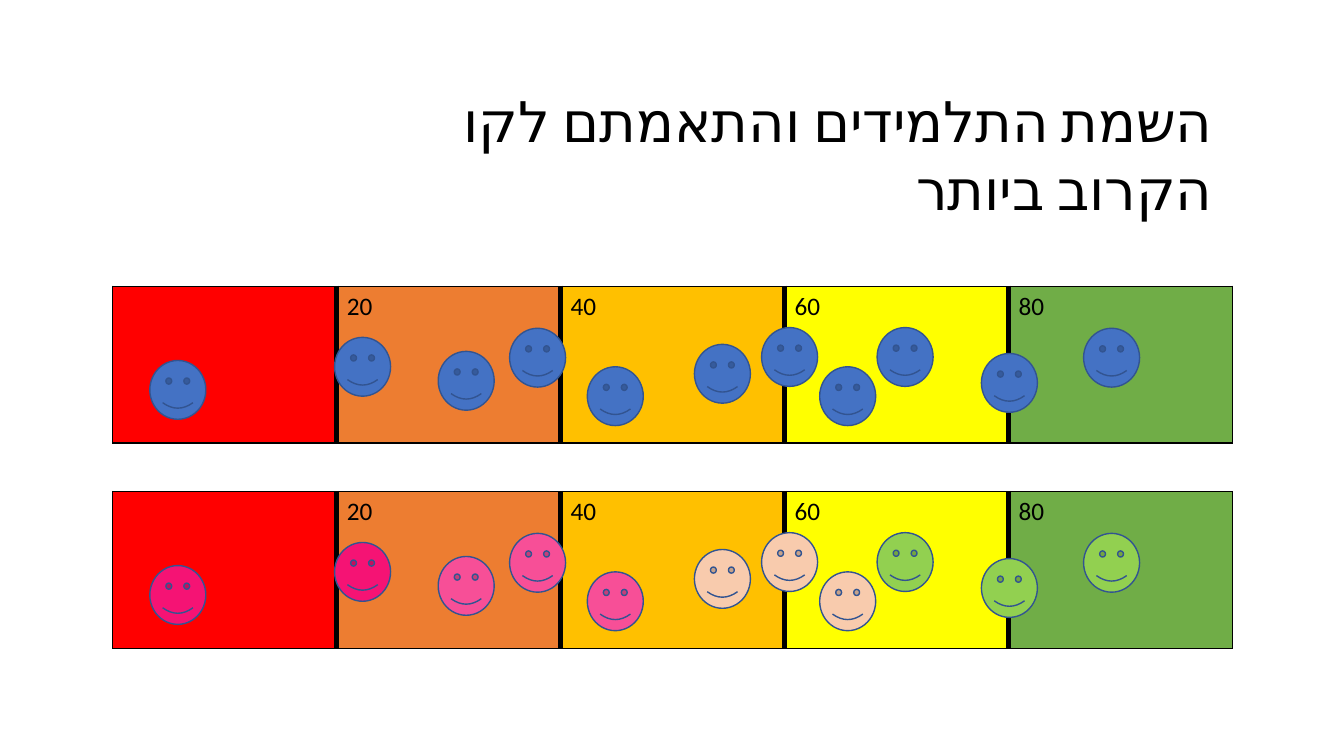
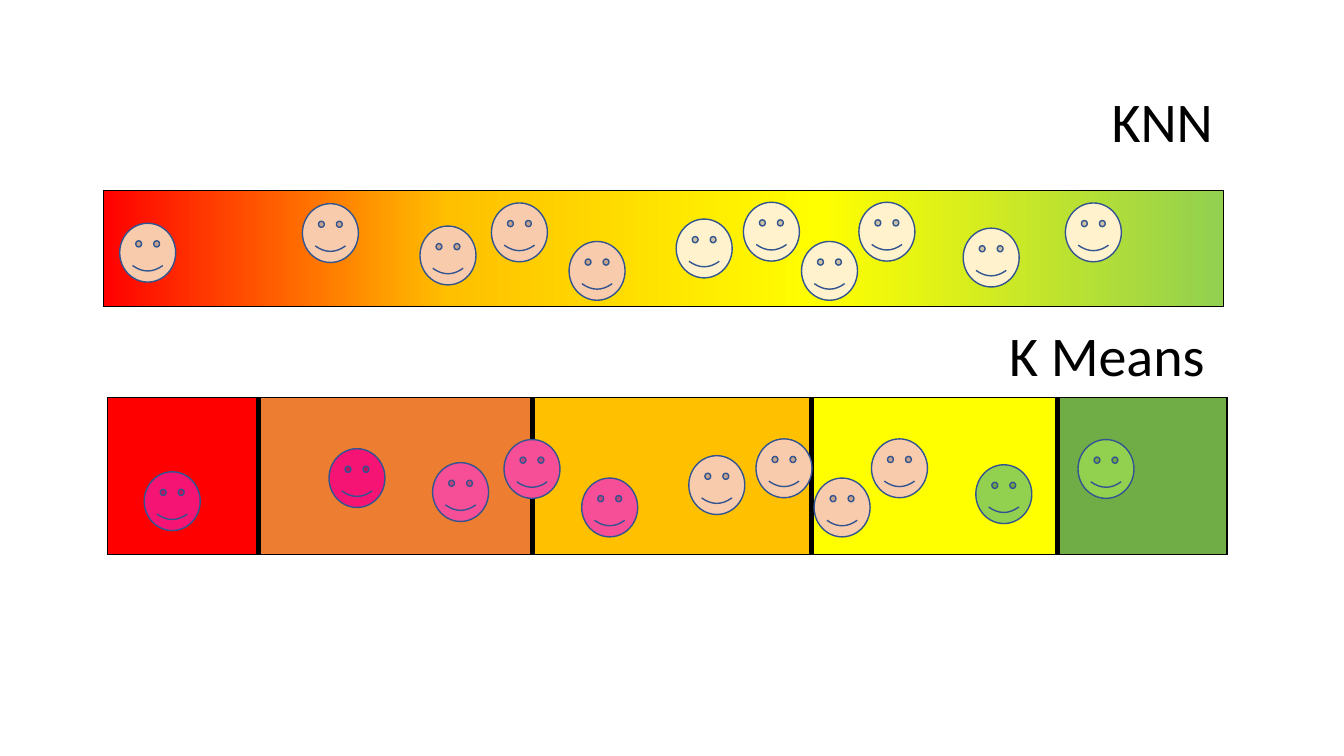
from dataclasses import dataclass

import lxml.etree
import pptx
import pptx.dml.color
import pptx.enum.lang
import pptx.enum.shapes
import pptx.enum.text
import pptx.oxml.ns
import pptx.util

Pt = pptx.util.Pt
qn = pptx.oxml.ns.qn


@dataclass(frozen=True)
class Theme:
    font: str = "Calibri"
    title_size: int = 40
    label_size: int = 18
    text: str = "000000"
    border: str = "000000"
    outer_border: float = 1
    divider: float = 4.5
    face_line: str = "325491"
    blue: str = "4472C4"
    crimson: str = "F51374"
    pink: str = "F74F97"
    peach: str = "F8CBAD"
    cream: str = "FFF2CC"
    lime: str = "92D050"
    zones: tuple = ("FF0000", "ED7D31", "FFC000", "FFFF00", "70AD47")
    spectrum: tuple = ((0, "FF0000"), (31, "FFC000"), (64, "FFFF00"), (100, "92D050"))


THEME = Theme()
STRIP_WIDTH = 800
STRIP_HEIGHT = 112
EQUAL_ZONES = [STRIP_WIDTH / 5] * 5
CLUSTER_ZONES = [108, 196, 199, 176, 121]
TITLE_RIGHT = 873.5
TITLE_TOP = 58.5
TITLE_HEIGHT = 55.5

# Offsets of the students from the top left corner of their strip
STUDENTS = [(26.5, 53), (158.5, 36.5), (232.5, 46.5), (283.5, 30), (339, 57.5), (415.5, 41.5),
            (463.5, 29.5), (505, 57.5), (546, 29.5), (620.5, 48), (693.5, 30)]
NEIGHBOURS = [(11.5, 23.5), (142, 9.5)] + [(x - 6.5, y - 21) for x, y in STUDENTS[2:]]


def rgb(color):
    return pptx.dml.color.RGBColor.from_string(color)


def write_text(text_frame, text, *, size, color=THEME.text, font=THEME.font,
               right_to_left=False, language=None):
    paragraph = text_frame.paragraphs[0]
    paragraph.alignment = pptx.enum.text.PP_ALIGN.LEFT
    if right_to_left:
        paragraph.alignment = pptx.enum.text.PP_ALIGN.RIGHT
        paragraph._p.get_or_add_pPr().set("rtl", "1")
    run = paragraph.add_run()
    run.text = text
    run.font.size = Pt(size)
    run.font.name = font
    run.font.color.rgb = rgb(color)
    if language:
        run.font.language_id = language
    properties = run._r.get_or_add_rPr()
    lxml.etree.SubElement(properties, qn("a:cs"), typeface=font)


def set_borders(cell, color, **widths):
    """Draw the sides L, R, T and B; call before the fill is set."""
    properties = cell._tc.get_or_add_tcPr()
    for side, width in widths.items():
        line = lxml.etree.SubElement(properties, qn(f"a:ln{side}"), w=str(Pt(width)))
        fill = lxml.etree.SubElement(line, qn("a:solidFill"))
        lxml.etree.SubElement(fill, qn("a:srgbClr"), val=color)


def fill_gradient(cell, stops):
    cell.fill.gradient()
    cell.fill.gradient_angle = 0
    stop_list = cell._tc.tcPr.find(".//" + qn("a:gsLst"))
    stop_list.clear()
    for percent, color in stops:
        stop = lxml.etree.SubElement(stop_list, qn("a:gs"), pos=str(percent * 1000))
        lxml.etree.SubElement(stop, qn("a:srgbClr"), val=color)


class Deck:
    def __init__(self, theme):
        self.theme = theme
        self.presentation = pptx.Presentation()
        self.presentation.slide_width = Pt(960)
        self.presentation.slide_height = Pt(540)
        self.slide = None

    def add_slide(self, title, **format):
        self.slide = self.presentation.slides.add_slide(self.presentation.slide_layouts[5])
        self.place_heading(self.slide.shapes.title, title, top=TITLE_TOP, **format)

    def place_heading(self, shape, text, *, top, right=TITLE_RIGHT, width=698,
                      height=TITLE_HEIGHT, language=None):
        shape.left, shape.top = Pt(right - width), Pt(top)
        shape.width, shape.height = Pt(width), Pt(height)
        frame = shape.text_frame
        frame.word_wrap = True
        frame.auto_size = pptx.enum.text.MSO_AUTO_SIZE.NONE
        frame.vertical_anchor = pptx.enum.text.MSO_ANCHOR.TOP
        write_text(frame, text, size=self.theme.title_size, right_to_left=True,
                   language=language)

    def add_subheading(self, text, **format):
        self.place_heading(self.slide.shapes.add_textbox(0, 0, 0, 0), text, **format)

    def add_strip(self, left, top, widths, height=STRIP_HEIGHT, labels=()):
        """Add a one-row table; a single cell gets the colour spectrum."""
        theme = self.theme
        table = self.slide.shapes.add_table(
            1, len(widths), Pt(left), Pt(top), Pt(sum(widths)), Pt(height)).table
        table.first_row = table.horz_banding = False
        table.rows[0].height = Pt(height)
        last = len(widths) - 1
        for index, width in enumerate(widths):
            table.columns[index].width = Pt(width)
            cell = table.cell(0, index)
            set_borders(cell, theme.border,
                        L=theme.divider if index > 0 else theme.outer_border,
                        R=theme.divider if index < last else theme.outer_border,
                        T=theme.outer_border, B=theme.outer_border)
            if last == 0:
                fill_gradient(cell, theme.spectrum)
            else:
                cell.fill.solid()
                cell.fill.fore_color.rgb = rgb(theme.zones[index])
            if labels and labels[index]:
                write_text(cell.text_frame, labels[index], size=theme.label_size)

    def add_faces(self, left, top, offsets, colors):
        for (x, y), color in zip(offsets, colors):
            face = self.slide.shapes.add_shape(
                pptx.enum.shapes.MSO_SHAPE.SMILEY_FACE,
                Pt(left + x), Pt(top + y), Pt(40), Pt(42))
            face.shadow.inherit = False
            face.fill.solid()
            face.fill.fore_color.rgb = rgb(color)
            face.line.color.rgb = rgb(self.theme.face_line)
            face.line.width = Pt(1)


def main():
    theme = THEME
    deck = Deck(theme)

    deck.add_slide("השמת התלמידים והתאמתם לקו הקרוב ביותר", width=641, height=104.5,
                   language=pptx.enum.lang.MSO_LANGUAGE_ID.HEBREW)
    matched = ([theme.crimson] * 2 + [theme.pink] * 3
               + [theme.peach] * 3 + [theme.lime] * 3)
    for top, colors in ((204.5, [theme.blue] * len(STUDENTS)), (351, matched)):
        deck.add_strip(80.5, top, EQUAL_ZONES, labels=("", "20", "40", "60", "80"))
        deck.add_faces(80.5, top, STUDENTS, colors)

    deck.add_slide("KNN")
    deck.add_strip(74, 136, [STRIP_WIDTH], height=83)
    deck.add_faces(74, 136, NEIGHBOURS, [theme.peach] * 5 + [theme.cream] * 6)
    deck.add_subheading("K Means", top=225.5, right=867.5)
    clustered = ([theme.crimson] * 2 + [theme.pink] * 3
                 + [theme.peach] * 4 + [theme.lime] * 2)
    deck.add_strip(76.5, 284, CLUSTER_ZONES)
    deck.add_faces(76.5, 284, STUDENTS, clustered)

    deck.presentation.save("out.pptx")


if __name__ == "__main__":
    main()
